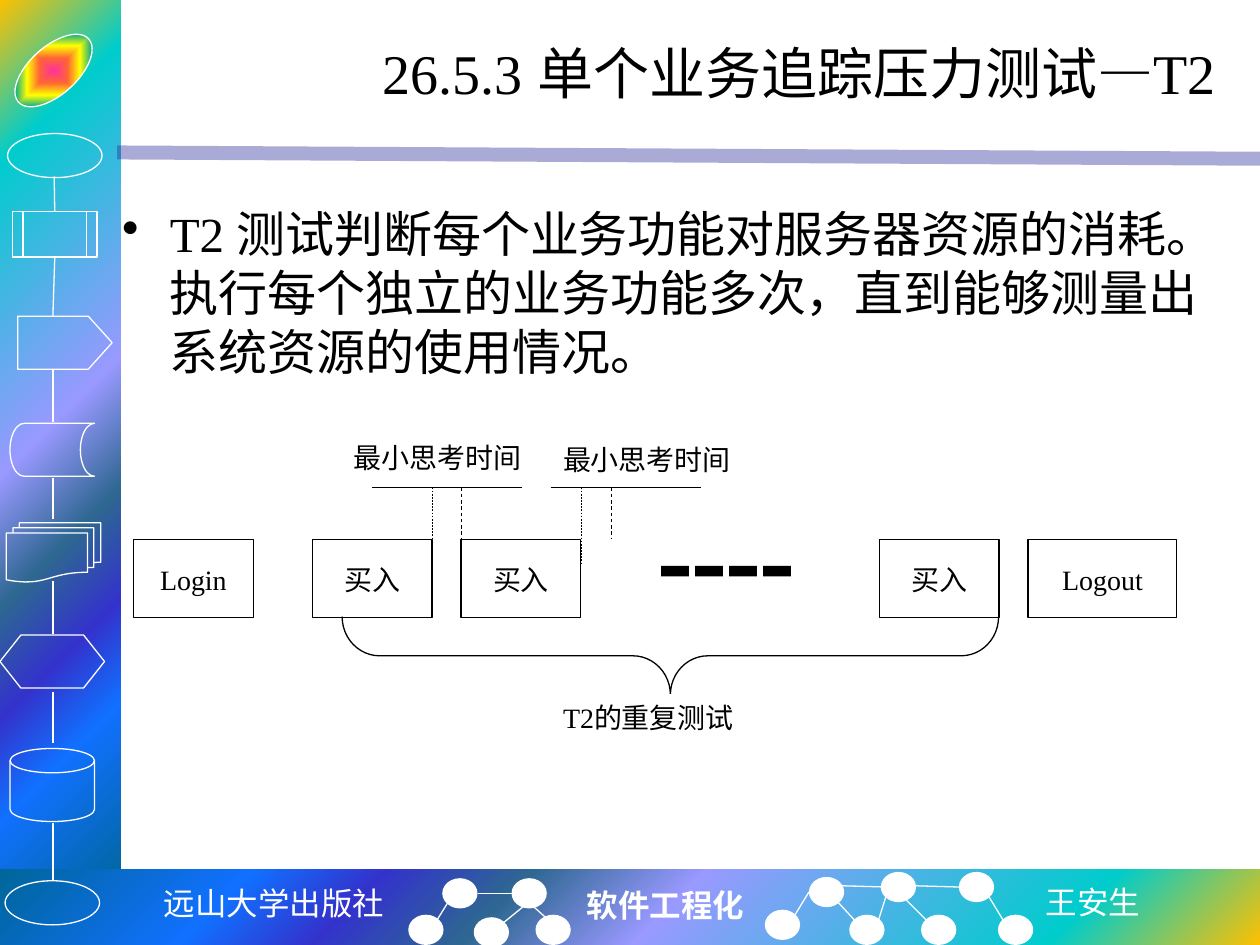
from typing import NamedTuple, Optional

import lxml.etree
import pptx
import pptx.dml.color
import pptx.enum.dml
import pptx.enum.shapes
import pptx.enum.text
import pptx.oxml
import pptx.oxml.ns
import pptx.util

Inches = pptx.util.Inches
Pt = pptx.util.Pt
RGB = pptx.dml.color.RGBColor
Kind = pptx.enum.shapes.MSO_SHAPE
Align = pptx.enum.text.PP_ALIGN
Anchor = pptx.enum.text.MSO_ANCHOR
qn = pptx.oxml.ns.qn

WHITE = RGB(0xFF, 0xFF, 0xFF)
BLACK = RGB(0, 0, 0)
NAVY = RGB(0x26, 0x26, 0x99)
TIMES, MONO, SANS = "Times New Roman", "DejaVu Sans Mono", "Noto Sans CJK SC"
BAND = [(0, "FFC000"), (16, "00CCCC"), (47, "9999FF"), (60, "2E6792"),
        (71, "3333CC"), (81, "1170FF"), (100, "006699")]
GLOW = [(0, "FF3399"), (25, "FF6633"), (50, "FFFF00"), (75, "01A78F"),
        (100, "3366FF")]


class Box(NamedTuple):
    x: float
    y: float
    w: float
    h: float


class Node(NamedTuple):
    kind: int
    box: Box


class Link(NamedTuple):
    x1: float
    y1: float
    x2: float
    y2: float


class Style(NamedTuple):
    size: float
    font: str = TIMES
    color: RGB = BLACK
    bold: bool = False
    align: int = Align.LEFT


LABEL = Style(16)

prs = pptx.Presentation()
prs.slide_width, prs.slide_height = Inches(10), Inches(7.5)
slide = prs.slides.add_slide(prs.slide_layouts[6])
shapes = slide.shapes


def shape(kind: int, box: Box, fill: Optional[RGB] = None,
          edge: Optional[RGB] = None):
    item = shapes.add_shape(kind, *map(Inches, box))
    item.shadow.inherit = False
    if fill is None:
        item.fill.background()
    else:
        item.fill.solid()
        item.fill.fore_color.rgb = fill
    if edge is None:
        item.line.fill.background()
    else:
        item.line.color.rgb = edge
        item.line.width = Pt(0.75)
    return item


def shade(item, stops: list, mode: str, focus: tuple) -> None:
    marks = "".join(f'<a:gs pos="{pos * 1000}"><a:srgbClr val="{tone}"/></a:gs>'
                    for pos, tone in stops)
    sides = " ".join(f'{side}="{part * 1000}"' for side, part in zip("ltrb", focus))
    grad = pptx.oxml.parse_xml(
        '<a:gradFill xmlns:a="http://schemas.openxmlformats.org/drawingml/2006/main"'
        f' rotWithShape="1"><a:gsLst>{marks}</a:gsLst>'
        f'<a:path path="{mode}"><a:fillToRect {sides}/></a:path></a:gradFill>')
    props = item._element.spPr
    props.replace(props.find(qn("a:noFill")), grad)


def line(link: Link, color: RGB = WHITE, width: float = 0.75, dash: bool = False):
    item = shapes.add_connector(pptx.enum.shapes.MSO_CONNECTOR.STRAIGHT,
                                *map(Inches, link))
    item.line.color.rgb = color
    item.line.width = Pt(width)
    if dash:
        item.line.dash_style = pptx.enum.dml.MSO_LINE.DASH
    lxml.etree.SubElement(item._element.spPr, qn("a:effectLst"))
    return item


def write(item, text: str, style: Style, wrap: bool = True,
          anchor: int = Anchor.TOP):
    frame = item.text_frame
    frame.word_wrap = wrap
    frame.vertical_anchor = anchor
    para = frame.paragraphs[0]
    para.alignment = style.align
    run = para.add_run()
    run.text = text
    run.font.size = Pt(style.size)
    run.font.name = style.font
    run.font.bold = style.bold
    run.font.color.rgb = style.color
    if style.font != TIMES:
        east = lxml.etree.SubElement(run._r.rPr, qn("a:ea"))
        east.set("typeface", style.font)
    return para


def text(box: Box, words: str, style: Style, wrap: bool = True,
         anchor: int = Anchor.TOP):
    return write(shapes.add_textbox(*map(Inches, box)), words, style, wrap, anchor)


def indent(para, left: float, first: float) -> None:
    props = para._p.get_or_add_pPr()
    props.set("marL", str(Inches(left)))
    props.set("indent", str(Inches(first)))


# Side and bottom bands, with the rule under the title
shade(shape(Kind.RECTANGLE, Box(0, 0, 0.96, 7.09)), BAND, "circle", (0, 0, 100, 100))
shade(shape(Kind.RECTANGLE, Box(0, 6.9, 10, 0.6)), BAND, "circle", (100, 100, 0, 0))
rule = line(Link(0.93, 1.21, 10, 1.26), NAVY, 8)
tone = rule._element.spPr.find(".//" + qn("a:srgbClr"))
lxml.etree.SubElement(tone, qn("a:alpha")).set("val", "39000")

# Flowchart symbols down the side
badge = shape(Kind.OVAL, Box(0.05, 0.37, 0.75, 0.38), edge=WHITE)
badge.rotation = -42
shade(badge, GLOW, "shape", (50, 50, 50, 50))
task = shape(Kind.FLOWCHART_PREDEFINED_PROCESS, Box(0.1, 1.68, 0.67, 0.36), edge=WHITE)
for node in [
    Node(Kind.OVAL, Box(0.06, 1.06, 0.75, 0.35)),
    Node(Kind.FLOWCHART_STORED_DATA, Box(0.08, 3.36, 0.67, 0.42)),
    Node(Kind.FLOWCHART_MULTIDOCUMENT, Box(0.05, 4.15, 0.75, 0.47)),
    Node(Kind.FLOWCHART_PREPARATION, Box(0, 5.04, 0.83, 0.42)),
    Node(Kind.FLOWCHART_MAGNETIC_DISK, Box(0.08, 5.94, 0.67, 0.58)),
    Node(Kind.OVAL, Box(0.04, 6.99, 0.75, 0.35)),
]:
    shape(node.kind, node.box, edge=WHITE)
plate = shape(Kind.PENTAGON, Box(0.14, 2.51, 0.75, 0.42), edge=WHITE)
plate.adjustments[0] = 0.45
line(Link(0.43, 1.4, 0.43, 1.68)).end_connect(task, 0)
line(Link(0.43, 2.04, 0.42, 2.51)).begin_connect(task, 2)
for top, end in [(2.93, 3.35), (3.79, 4.12), (4.61, 5.03), (5.49, 5.9), (6.53, 6.99)]:
    line(Link(0.42, top, 0.42, end))

# Footer networks
for x, y in [(3.51, 6.97), (4.06, 6.97), (3.24, 7.26), (3.76, 7.28), (4.25, 7.26),
             (6.07, 7.22), (6.42, 6.96), (6.99, 6.92), (7.61, 6.92), (6.74, 7.26),
             (7.31, 7.26), (7.92, 7.26)]:
    shape(Kind.OVAL, Box(x, y, 0.28, 0.24), WHITE)
for link in [
    Link(3.47, 7.3, 3.55, 7.17), Link(4, 7.32, 4.16, 7.19),
    Link(4.06, 7.09, 3.79, 7.09), Link(4.34, 7.29, 4.24, 7.2),
    Link(6.31, 7.26, 6.42, 7.08), Link(6.78, 7.3, 6.65, 7.16),
    Link(6.97, 7.31, 7.03, 7.12), Link(7.35, 7.3, 7.15, 7.1),
    Link(7.96, 7.3, 7.85, 7.12), Link(6.68, 7.03, 7.03, 7.04),
    Link(7.26, 7.03, 7.61, 7.04),
]:
    line(link)

# Footer wording
text(Box(1.19, 6.97, 1.97, 0.4), "远山大学出版社",
     Style(18, MONO, WHITE, align=Align.CENTER), wrap=False)
text(Box(4.56, 6.98, 1.46, 0.4), "软件工程化", Style(18, TIMES, WHITE, True), wrap=False)
text(Box(8.2, 6.96, 0.96, 0.4), "王安生", Style(18, SANS, WHITE), wrap=False)

# Title and body
text(Box(1.25, 0.17, 8.5, 0.81), "26.5.3 单个业务追踪压力测试—T2",
     Style(32, align=Align.RIGHT), anchor=Anchor.MIDDLE)
body = text(Box(0.87, 1.57, 8.75, 1.57),
            "T2 测试判断每个业务功能对服务器资源的消耗。"
            "执行每个独立的业务功能多次，直到能够测量出系统资源的使用情况。", Style(28))
body.space_before = Pt(5.6)
indent(body, 0.38, -0.38)
lxml.etree.SubElement(body._p.pPr, qn("a:buChar")).set("char", "•")

# Steps of the test
for x, w, name in [(1.06, 0.95, "Login"), (2.48, 0.95, "买入"), (3.66, 0.95, "买入"),
                   (6.98, 0.95, "买入"), (8.16, 1.18, "Logout")]:
    step = shape(Kind.RECTANGLE, Box(x, 4.28, w, 0.62), WHITE, BLACK)
    write(step, name, LABEL._replace(align=Align.CENTER)).line_spacing = 1.5

# Think times between steps
for x, y, left in [(2.71, 3.45, 2.95), (4.37, 3.46, 4.37)]:
    write(shape(Kind.RECTANGLE, Box(x, y, 1.89, 0.62), WHITE), "最小思考时间", LABEL)
    line(Link(left, 3.87, left + 1.19, 3.87), BLACK, 0.5)
for x, end, width in [(3.43, 4.48, 0.25), (3.66, 4.28, 0.5),
                      (4.61, 4.48, 0.25), (4.85, 4.28, 0.5)]:
    line(Link(x, 3.87, x, end), BLACK, width, dash=True)

# Repeats, brace and caption
more = write(shape(Kind.RECTANGLE, Box(4.85, 4.28, 1.89, 0.62), WHITE),
             "▃ ▃ ▃ ▃", Style(16, SANS))
indent(more, 0, 0.3)
brace = shape(Kind.RIGHT_BRACE, Box(5.01, 2.6, 0.62, 5.21), edge=BLACK)
brace.rotation = 90
brace.adjustments[0] = 0.48
write(shape(Kind.RECTANGLE, Box(4.37, 5.51, 1.89, 0.62), WHITE), "T2的重复测试", LABEL)

prs.save("out.pptx")
